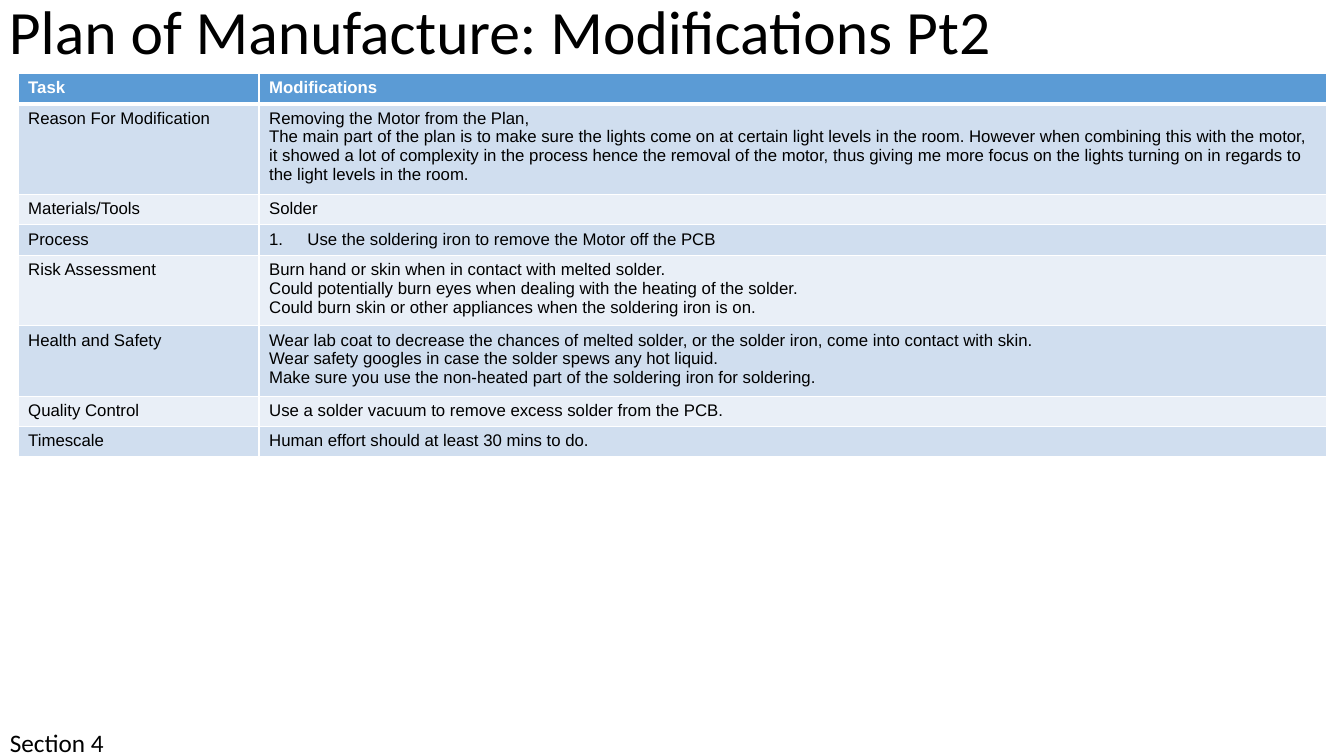
from lxml.etree import SubElement
from pptx import Presentation
from pptx.dml.color import RGBColor
from pptx.enum.text import MSO_ANCHOR
from pptx.oxml.ns import qn
from pptx.util import Inches, Pt

COLORS = {"ink": "000000", "white": "FFFFFF", "head": "5B9BD5",
          "dark": "D0DEEF", "light": "E9EFF7"}

TASKS = [
    ("Task", ["Modifications"]),
    ("Reason For Modification", [
        "Removing the Motor from the Plan,",
        "The main part of the plan is to make sure the lights come on at certain "
        "light levels in the room. However when combining this with the motor, it "
        "showed a lot of complexity in the process hence the removal of the motor, "
        "thus giving me more focus on the lights turning on in regards to the light "
        "levels in the room."]),
    ("Materials/Tools", ["Solder"]),
    ("Process", ["Use the soldering iron to remove the Motor off the PCB"]),
    ("Risk Assessment", [
        "Burn hand or skin when in contact with melted solder.",
        "Could potentially burn eyes when dealing with the heating of the solder.",
        "Could burn skin or other appliances when the soldering iron is on."]),
    ("Health and Safety", [
        "Wear lab coat to decrease the chances of melted solder, or the solder iron, "
        "come into contact with skin.",
        "Wear safety googles in case the solder spews any hot liquid.",
        "Make sure you use the non-heated part of the soldering iron for soldering."]),
    ("Quality Control", ["Use a solder vacuum to remove excess solder from the PCB."]),
    ("Timescale", ["Human effort should at least 30 mins to do."]),
]
LINES = [1, 4, 1, 1, 3, 3, 1, 1]


class Painter:
    def __init__(self, slide):
        self.slide = slide

    def color(self, name):
        return RGBColor.from_string(COLORS[name])

    def style(self, para, face, size, color="ink", bold=False):
        font = para.font
        font.name, font.size, font.bold = face, Pt(size), bold
        font.color.rgb = self.color(color)

    def text(self, words, left, top, width, height, size, space=1.0,
             anchor=MSO_ANCHOR.TOP):
        box = self.slide.shapes.add_textbox(
            Inches(left), Inches(top), Inches(width), Inches(height))
        frame = box.text_frame
        frame.word_wrap = True
        frame.vertical_anchor = anchor
        para = frame.paragraphs[0]
        para.text = words
        para.line_spacing = space
        self.style(para, "Calibri", size)

    def number(self, para):
        props = para._p.get_or_add_pPr()
        props.set("marL", str(Inches(0.38)))
        props.set("indent", str(Inches(-0.38)))
        SubElement(props, qn("a:buFont"), typeface="+mj-lt")
        SubElement(props, qn("a:buAutoNum"), type="arabicPeriod")

    def border(self, cell, row):
        props = cell._tc.get_or_add_tcPr()
        for side in "LRTB":
            thick = (row, side) in ((0, "B"), (1, "T"))
            line = SubElement(props, qn(f"a:ln{side}"), w=str(Pt(3 if thick else 1)))
            fill = SubElement(line, qn("a:solidFill"))
            SubElement(fill, qn("a:srgbClr"), val=COLORS["white"])

    def cell(self, cell, row, paras, listed):
        self.border(cell, row)
        cell.fill.solid()
        shade = "head" if row == 0 else ("light", "dark")[row % 2]
        cell.fill.fore_color.rgb = self.color(shade)
        cell.text = "\n".join(paras)
        for para in cell.text_frame.paragraphs:
            if listed:
                self.number(para)
            self.style(para, "Arial", 12, "ink" if row else "white", row == 0)

    def table(self, tasks, left, top, widths):
        # Each row holds its text lines plus the cell margins
        highs = [0.1 + 0.2 * count for count in LINES]
        table = self.slide.shapes.add_table(
            len(tasks), len(widths), Inches(left), Inches(top),
            Inches(sum(widths)), Inches(sum(highs))).table
        for col, width in zip(table.columns, widths):
            col.width = Inches(width)
        for row, (task, notes) in enumerate(tasks):
            table.rows[row].height = Inches(highs[row])
            self.cell(table.cell(row, 0), row, [task], False)
            self.cell(table.cell(row, 1), row, notes, task == "Process")


def main():
    deck = Presentation()
    deck.slide_width, deck.slide_height = Inches(13.33), Inches(7.5)
    paint = Painter(deck.slides.add_slide(deck.slide_layouts[6]))

    # Section label and title
    paint.text("Section 4", 0, 7.17, 1.15, 0.4, 18)
    paint.text("Plan of Manufacture: Modifications Pt2", -0.01, -0.38, 11.5, 1.45,
               44, 0.9, MSO_ANCHOR.MIDDLE)

    # Modification table
    paint.table(TASKS, 0.18, 0.73, [2.39, 10.59])

    deck.save("out.pptx")


if __name__ == "__main__":
    main()
